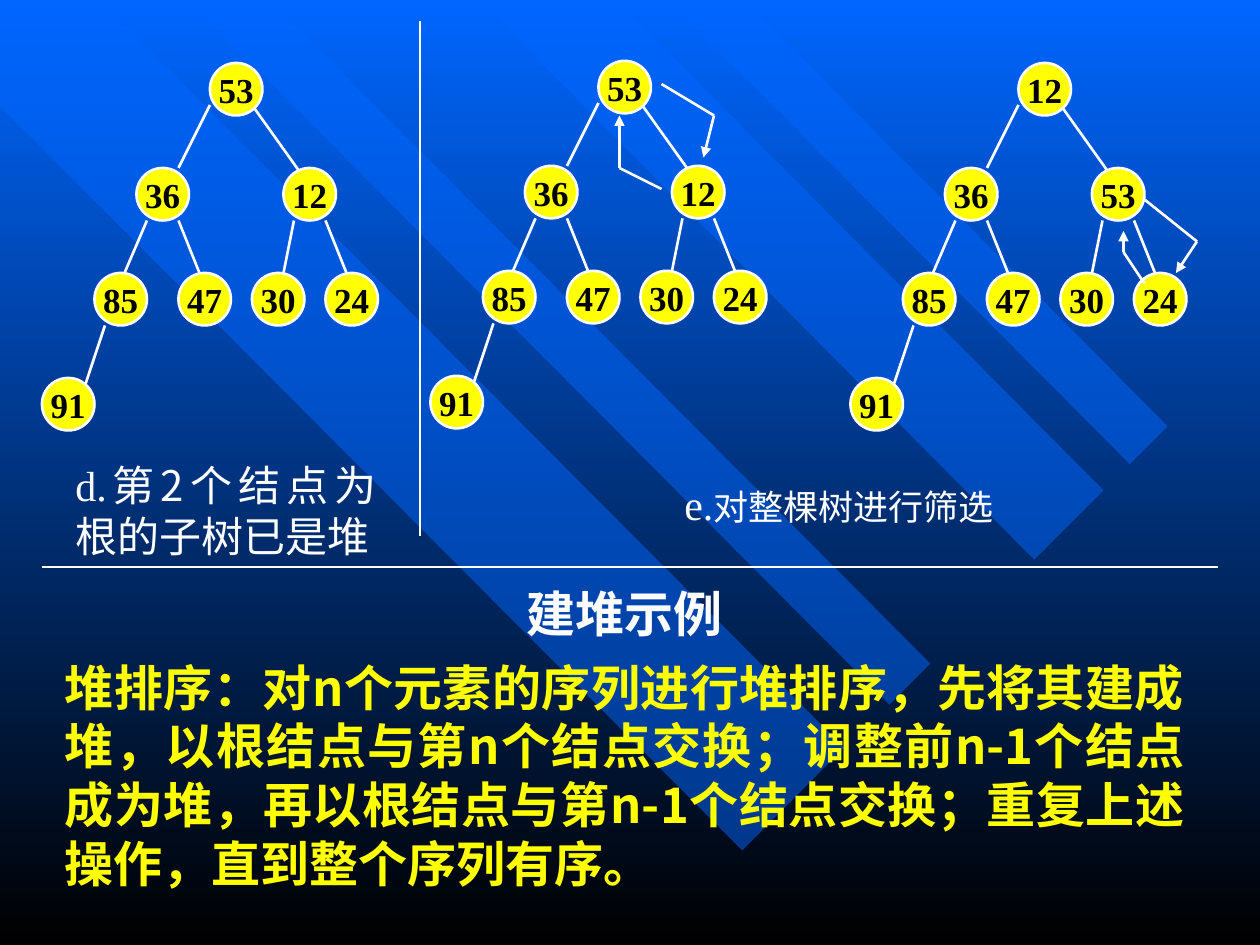
from dataclasses import dataclass
from typing import List, Sequence, Tuple

from lxml.etree import SubElement
from pptx import Presentation
from pptx.dml.color import RGBColor
from pptx.enum.shapes import MSO_CONNECTOR, MSO_SHAPE
from pptx.enum.text import MSO_ANCHOR, MSO_AUTO_SIZE, PP_ALIGN
from pptx.oxml.ns import qn
from pptx.shapes.shapetree import SlideShapes
from pptx.util import Emu, Inches, Pt

Point = Tuple[float, float]

BLUE = RGBColor(0x00, 0x66, 0xFF)
BLACK = RGBColor(0x00, 0x00, 0x00)
WHITE = RGBColor(0xFF, 0xFF, 0xFF)
YELLOW = RGBColor(0xFF, 0xFF, 0x00)

LATIN_FONT = "Times New Roman"
CHINESE_FONT = "Noto Sans CJK SC"

COLUMNS, ROWS = 120, 90
SLIDE_WIDTH, SLIDE_HEIGHT = Inches(10), Inches(7.5)
CELL = SLIDE_WIDTH // COLUMNS
NODE_SIZE = 5
LINE_WIDTH = Pt(1.5)

NODE_CELLS = [(16, 0), (9, 10), (23, 10), (5, 20), (13, 20), (20, 20), (27, 20), (0, 30)]
EDGE_CELLS = [
    ((16, 4), (13, 10)),
    ((20, 4), (25, 11)),
    ((10, 15), (7, 22)),
    ((13, 15), (15, 20)),
    ((24, 15), (23, 20)),
    ((27, 15), (29, 20)),
    ((6, 25), (4, 31)),
]
BANDS = [
    [(80.4, 71.2), (9.5, 0), (0, 0), (0, 10.1), (70.7, 81)],
    [(25.7, 0), (88.6, 63.2), (84.7, 67.1), (17.9, 0)],
    [(58.7, 0), (105.1, 46.7), (98.5, 53.3), (45.6, 0)],
    [(63.6, 0), (107.6, 44.2), (111.2, 40.6), (70.9, 0)],
]
DIVIDERS = [((4, 54), (116, 54)), ((40, 2), (40, 51))]
SWAP_ARROWS = [
    [(63, 8), (68, 11), (67, 15)],
    [(63, 18), (59, 16), (59, 11)],
    [(109, 19), (114, 23), (112, 26)],
    [(109, 27), (107, 24), (107, 22)],
]


@dataclass(frozen=True)
class HeapTree:
    """A heap placed by its top-left cell, with values in level order."""

    column: float
    row: float
    values: Tuple[int, ...]


@dataclass(frozen=True)
class TextPiece:
    """A stretch of text in one font and size."""

    text: str
    size: int
    font: str = CHINESE_FONT


@dataclass(frozen=True)
class Caption:
    """A text box placed on the grid."""

    column: float
    row: float
    width: float
    height: float
    pieces: Tuple[TextPiece, ...]
    color: RGBColor = WHITE
    bold: bool = False
    alignment: PP_ALIGN = PP_ALIGN.JUSTIFY


TREES = [
    HeapTree(4, 6, (53, 36, 12, 85, 47, 30, 24, 91)),
    HeapTree(41, 5.8, (53, 36, 12, 85, 47, 30, 24, 91)),
    HeapTree(81, 6, (12, 36, 53, 85, 47, 30, 24, 91)),
]
CAPTIONS = [
    Caption(5, 55, 109, 6.8, (TextPiece("建堆示例", 28),), bold=True, alignment=PP_ALIGN.CENTER),
    Caption(6, 43.2, 31, 10.8, (
        TextPiece("d.", 24, LATIN_FONT), TextPiece("第2个结点为根的子树已是堆", 24))),
    Caption(64, 45, 36, 6, (
        TextPiece("e.", 24, LATIN_FONT), TextPiece("对整棵树进行筛选", 20))),
    Caption(5, 62, 109, 23.6, (TextPiece(
        "堆排序：对n个元素的序列进行堆排序，先将其建成堆，以根结点与第n个结点交换；"
        "调整前n-1个结点成为堆，再以根结点与第n-1个结点交换；"
        "重复上述操作，直到整个序列有序。", 28),), color=YELLOW, bold=True),
]


def cells(*lengths: float) -> List[Emu]:
    """Convert grid lengths to slide units."""
    return [Emu(round(length * CELL)) for length in lengths]


def draw_band(shapes: SlideShapes, corners: Sequence[Point]) -> None:
    """Draw a half-transparent diagonal band."""
    points = [tuple(cells(*corner)) for corner in corners]
    builder = shapes.build_freeform(*points[0])
    builder.add_line_segments(points[1:], close=True)
    band = builder.convert_to_shape()
    band.shadow.inherit = False
    band.line.fill.background()
    band.fill.solid()
    band.fill.fore_color.rgb = BLUE
    color = next(band.element.spPr.iter(qn("a:srgbClr")))
    SubElement(color, qn("a:alpha"), val="50000")


def draw_line(shapes: SlideShapes, start: Point, end: Point, arrow: bool = False) -> None:
    """Draw a white line, with an arrowhead at its end if asked."""
    line = shapes.add_connector(MSO_CONNECTOR.STRAIGHT, *cells(*start, *end))
    line.line.color.rgb = WHITE
    line.line.width = LINE_WIDTH
    if arrow:
        SubElement(line.line._get_or_add_ln(), qn("a:tailEnd"), type="triangle")
    SubElement(line.element.spPr, qn("a:effectLst"))


def draw_node(shapes: SlideShapes, column: float, row: float, value: int) -> None:
    """Draw one heap node."""
    node = shapes.add_shape(MSO_SHAPE.OVAL, *cells(column, row, NODE_SIZE, NODE_SIZE))
    node.shadow.inherit = False
    node.fill.solid()
    node.fill.fore_color.rgb = YELLOW
    node.line.color.rgb = WHITE
    node.line.width = LINE_WIDTH
    frame = node.text_frame
    frame.text = str(value)
    frame.word_wrap = False
    frame.vertical_anchor = MSO_ANCHOR.MIDDLE
    paragraph = frame.paragraphs[0]
    paragraph.alignment = PP_ALIGN.CENTER
    font = paragraph.runs[0].font
    font.name, font.size, font.bold = LATIN_FONT, Pt(20), True
    font.color.rgb = BLACK


def draw_tree(shapes: SlideShapes, tree: HeapTree) -> None:
    """Draw the edges of a heap and then its nodes."""
    for edge in EDGE_CELLS:
        start, end = [(tree.column + column, tree.row + row) for column, row in edge]
        draw_line(shapes, start, end)
    for (column, row), value in zip(NODE_CELLS, tree.values):
        draw_node(shapes, tree.column + column, tree.row + row, value)


def draw_caption(shapes: SlideShapes, caption: Caption) -> None:
    """Draw a text box with its pieces as runs."""
    box = shapes.add_textbox(*cells(caption.column, caption.row, caption.width, caption.height))
    frame = box.text_frame
    frame.word_wrap = True
    frame.auto_size = MSO_AUTO_SIZE.SHAPE_TO_FIT_TEXT
    paragraph = frame.paragraphs[0]
    paragraph.alignment = caption.alignment
    for piece in caption.pieces:
        run = paragraph.add_run()
        run.text = piece.text
        run.font.name, run.font.size, run.font.bold = piece.font, Pt(piece.size), caption.bold
        run.font.color.rgb = caption.color
        SubElement(run.font._element, qn("a:ea"), typeface=piece.font)


def main() -> None:
    """Build the heap construction slide."""
    presentation = Presentation()
    presentation.slide_width, presentation.slide_height = SLIDE_WIDTH, SLIDE_HEIGHT
    slide = presentation.slides.add_slide(presentation.slide_layouts[6])
    background = slide.background.fill
    background.gradient()
    background.gradient_angle = 270
    for stop, color in zip(background.gradient_stops, (BLUE, BLACK)):
        stop.color.rgb = color
    for band in BANDS:
        draw_band(slide.shapes, band)
    for divider in DIVIDERS:
        draw_line(slide.shapes, *divider)
    for tree in TREES:
        draw_tree(slide.shapes, tree)
    for start, bend, tip in SWAP_ARROWS:
        draw_line(slide.shapes, start, bend)
        draw_line(slide.shapes, bend, tip, arrow=True)
    for caption in CAPTIONS:
        draw_caption(slide.shapes, caption)
    presentation.save("out.pptx")


if __name__ == "__main__":
    main()
